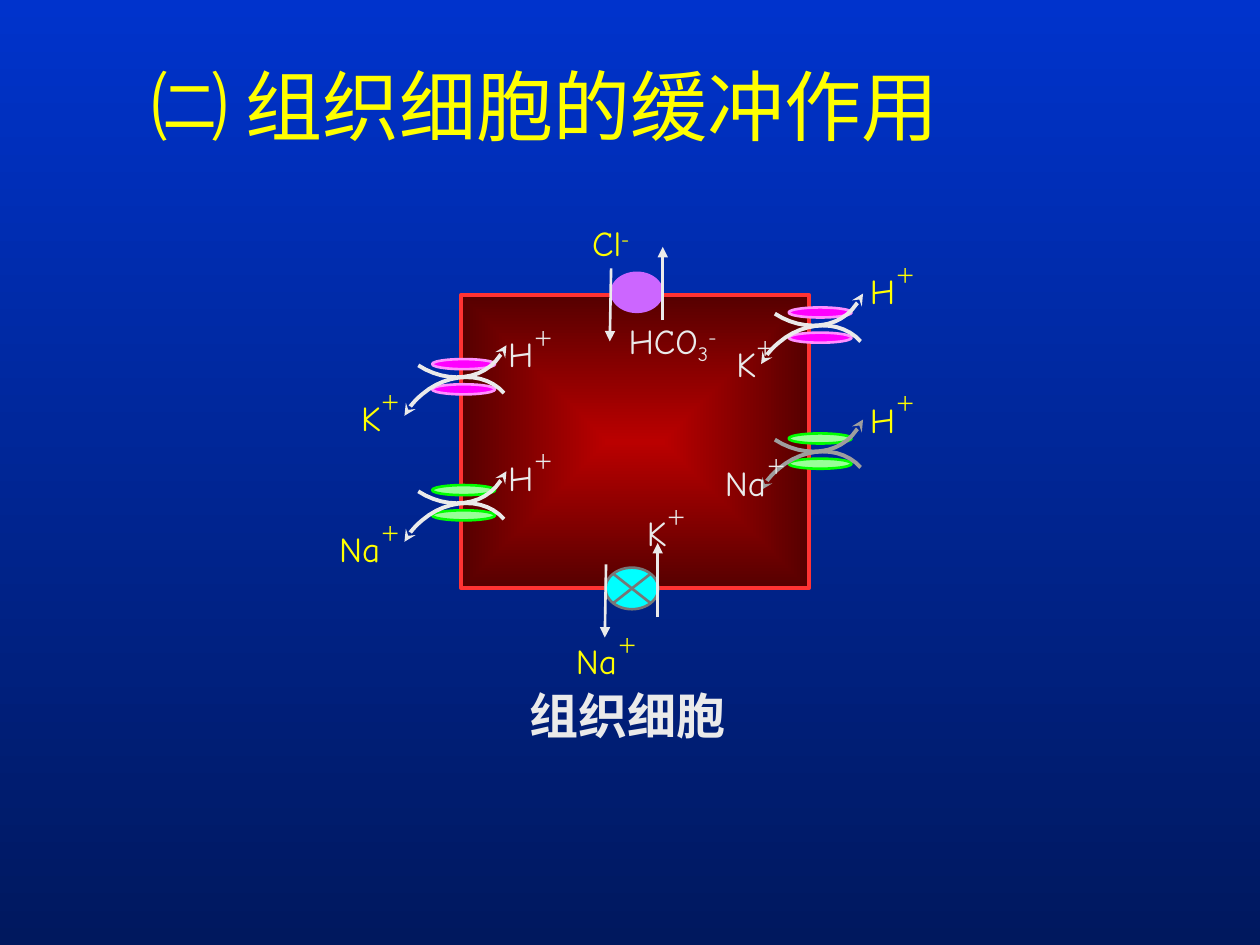
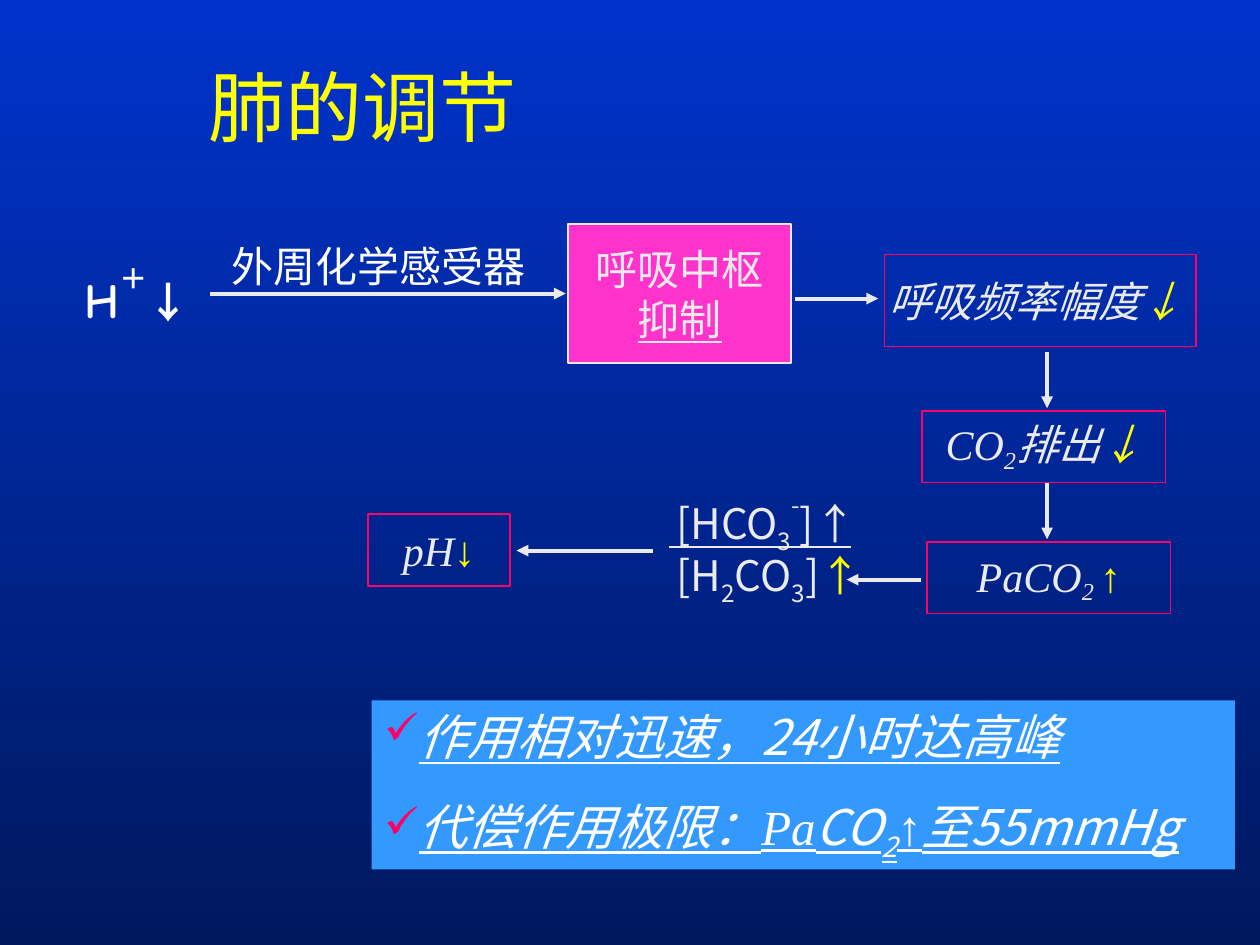
from dataclasses import dataclass
from typing import NamedTuple, Optional

from lxml.etree import SubElement
from pptx import Presentation
from pptx.dml.color import RGBColor as RGB
from pptx.enum.shapes import MSO_CONNECTOR as CONN, MSO_SHAPE as SHAPE
from pptx.enum.text import MSO_ANCHOR as ANCHOR, MSO_AUTO_SIZE as SIZE, PP_ALIGN as ALIGN
from pptx.oxml.ns import qn
from pptx.util import Inches, Pt


@dataclass(frozen=True)
class Theme:
    top: str = "0033CC"
    base: str = "00185E"
    pale: str = "EAEAEA"
    white: str = "FFFFFF"
    yellow: str = "FFFF00"
    gray: str = "9E9E9E"
    dim: str = "777777"
    core: str = "BA0000"
    rim: str = "560000"
    red: str = "FF3333"
    rose: str = "FF0066"
    pink: str = "FF33CC"
    blue: str = "3399FF"
    purple: str = "CC66FF"
    cyan: str = "00FFFF"
    magenta: tuple = ("FF00FF", "FF8FFF")
    green: tuple = ("99FF99", "00FF00")
    serif: str = "Times New Roman"
    comic: str = "Comic Neue"
    sans: str = "Noto Sans CJK SC"
    title: float = 44
    large: float = 28
    text: float = 24
    ion: float = 20
    thick: float = 2.25
    mid: float = 1.5
    thin: float = 1


T = Theme()


class Run(NamedTuple):
    text: str
    base: int = 0
    color: Optional[str] = None
    font: Optional[str] = None
    size: Optional[float] = None
    under: bool = False


class Ion(NamedTuple):
    name: str
    x: float
    y: float
    color: str
    align: ALIGN = ALIGN.CENTER


class Pump(NamedTuple):
    x: float
    y: float
    tint: tuple
    color: str = T.pale


class Gate(NamedTuple):
    x: float
    y: float
    fill: str
    edge: Optional[str]
    down: tuple
    up: tuple


class Box(NamedTuple):
    at: tuple
    lines: list
    fill: Optional[str] = None
    edge: str = T.rose
    italic: bool = True


class Arrow(NamedTuple):
    start: tuple
    end: tuple
    width: float = T.thick
    tip: bool = True


# Curves of a pump, from its upper oval's corner: start, then cubic control points
CURVES = (
    [(.59, -.11), (.58, -.08), (.56, -.05), (.54, -.03), (.41, .17), (.12, .2), (-.11, .05)],
    [(-.22, .45), (-.19, .39), (-.14, .33), (-.08, .28), (.13, .1), (.42, .1), (.57, .27)],
)

PUMPS = [Pump(3.43, 2.85, T.magenta), Pump(3.43, 3.85, T.green),
         Pump(6.26, 2.44, T.magenta), Pump(6.26, 3.44, T.green, T.gray)]

IONS = [
    Ion("Na", 2.48, 4.09, T.yellow), Ion("K", 2.67, 3.05, T.yellow),
    Ion("H", 3.86, 2.54, T.pale), Ion("H", 3.86, 3.52, T.pale),
    Ion("H", 6.73, 2.04, T.yellow), Ion("H", 6.73, 3.06, T.yellow),
    Ion("Na", 5.43, 3.56, T.pale, ALIGN.RIGHT), Ion("K", 5.55, 2.62, T.pale, ALIGN.RIGHT),
    Ion("K", 4.84, 3.96, T.pale, ALIGN.RIGHT), Ion("Na", 4.36, 4.98, T.yellow),
]

GATES = [
    Gate(4.89, 2.11, T.purple, None, ((4.85, 2.13), (4.84, 2.71)), ((5.26, 2.54), (5.26, 1.96))),
    Gate(4.85, 4.46, T.cyan, T.dim, ((4.81, 4.48), (4.8, 5.06)), ((5.22, 4.9), (5.22, 4.31))),
]

BOXES = [
    Box((4.51, 1.78, 1.77, 1.1), [[Run("呼吸中枢")], [Run("抑制", under=True)]],
        T.pink, T.pale, False),
    Box((7.02, 2.02, 2.47, .73), [[Run("呼吸频率幅度"), Run("↓ ", color=T.yellow)]]),
    Box((7.32, 3.26, 1.93, .57),
        [[Run("CO"), Run("2", -20), Run("排出"), Run("↓", color=T.yellow)]]),
    Box((7.36, 4.3, 1.93, .57), [[Run("PaCO"), Run("2 ", -20), Run("↑", color=T.yellow)]]),
    Box((2.92, 4.08, 1.13, .57), [[Run("pH"), Run("↓", color=T.yellow)]]),
]

ARROWS = [
    Arrow((1.67, 2.33), (4.49, 2.33)), Arrow((6.31, 2.37), (6.97, 2.37)),
    Arrow((8.31, 2.79), (8.31, 3.24)), Arrow((8.31, 3.83), (8.31, 4.28)),
    Arrow((7.31, 4.6), (6.72, 4.6)), Arrow((5.18, 4.37), (4.1, 4.37)),
    Arrow((5.31, 4.34), (6.75, 4.34), T.thin, False),
]


def place(at: tuple) -> list:
    return [Inches(v) for v in at]


def write(shape, lines: list, *, size: float = T.text, color: str = T.pale,
          font: str = T.serif, bold: bool = False, italic: bool = False,
          under: bool = False, align: ALIGN = ALIGN.LEFT, anchor: ANCHOR = ANCHOR.TOP,
          before: float = 0, space: float = 1, side: float = .1,
          wrap: bool = True, mark: str = "") -> None:
    """Fill a shape with paragraphs, each a list of runs."""
    frame = shape.text_frame
    frame.auto_size, frame.word_wrap, frame.vertical_anchor = SIZE.NONE, wrap, anchor
    frame.margin_left = frame.margin_right = Inches(side)
    frame.margin_top = frame.margin_bottom = Inches(.05)
    for n, line in enumerate(lines):
        para = frame.add_paragraph() if n else frame.paragraphs[0]
        para.alignment, para.line_spacing, para.space_before = align, space, Pt(before)
        if mark:
            prop = para._p.get_or_add_pPr()
            SubElement(SubElement(prop, qn("a:buClr")), qn("a:srgbClr")).set("val", T.rose)
            SubElement(prop, qn("a:buSzPct")).set("val", "90000")
            SubElement(prop, qn("a:buChar")).set("char", mark)
        for part in line:
            run = para.add_run()
            run.text = part.text
            face = run.font
            face.size, face.bold, face.italic = Pt(part.size or size), bold, italic
            face.underline = under or part.under
            face.color.rgb = RGB.from_string(part.color or color)
            face.name = part.font or font
            prop = run._r.get_or_add_rPr()
            SubElement(prop, qn("a:ea")).set("typeface", T.sans)
            if part.base:
                prop.set("baseline", str(part.base * 1000))


def label(slide, at: tuple, runs: list, **form) -> None:
    write(slide.shapes.add_textbox(*place(at)), [runs], **form)


def style(shape, fill: Optional[str], edge: Optional[str], width: float = T.thin) -> None:
    shape.shadow.inherit = False
    if fill:
        shape.fill.solid()
        shape.fill.fore_color.rgb = RGB.from_string(fill)
    else:
        shape.fill.background()
    if edge:
        shape.line.color.rgb = RGB.from_string(edge)
        shape.line.width = Pt(width)
    else:
        shape.line.fill.background()


def draw(slide, kind: SHAPE, at: tuple, fill: Optional[str], edge: Optional[str],
         width: float = T.thin):
    shape = slide.shapes.add_shape(kind, *place(at))
    style(shape, fill, edge, width)
    return shape


def blend(fill, first: str, last: str) -> None:
    fill.gradient()
    for stop, color in zip(fill.gradient_stops, (first, last)):
        stop.color.rgb = RGB.from_string(color)


def link(slide, arrow: Arrow) -> None:
    line = slide.shapes.add_connector(CONN.STRAIGHT, *place(arrow.start + arrow.end))
    line.line.color.rgb = RGB.from_string(T.pale)
    line.line.width = Pt(arrow.width)
    if arrow.tip:
        SubElement(line.line._get_or_add_ln(), qn("a:tailEnd")).set("type", "triangle")
    SubElement(line._element.spPr, qn("a:effectLst"))


def bend(slide, pump: Pump, curve: list, steps: int = 12) -> None:
    """Trace a chain of cubic curves with an arrowhead at its start."""
    spots = [curve[0]]
    for i in range(0, len(curve) - 1, 3):
        a, b, c, d = curve[i:i + 4]
        for t in (k / steps for k in range(1, steps + 1)):
            u = 1 - t
            spots.append(tuple(u**3 * p + 3 * u * u * t * q + 3 * u * t * t * r + t**3 * s
                               for p, q, r, s in zip(a, b, c, d)))
    spots = [(Inches(pump.x + x), Inches(pump.y + y)) for x, y in spots]
    pen = slide.shapes.build_freeform(*spots[0])
    pen.add_line_segments(spots[1:], close=False)
    shape = pen.convert_to_shape()
    style(shape, None, pump.color, T.thick)
    SubElement(shape.line._get_or_add_ln(), qn("a:headEnd")).set("type", "stealth")


def start(deck, text: str, at: tuple):
    slide = deck.slides.add_slide(deck.slide_layouts[5])
    title = slide.shapes.title
    title.left, title.top, title.width, title.height = place(at)
    write(title, [[Run(text)]], size=T.title, color=T.yellow,
          align=ALIGN.CENTER, anchor=ANCHOR.MIDDLE)
    return slide


def cell(deck) -> None:
    slide = start(deck, "㈡ 组织细胞的缓冲作用", (.74, .21, 7.17, 1.25))
    label(slide, (3.98, 5.48, 2, .5), [Run("组织细胞")], size=T.large, bold=True,
          align=ALIGN.CENTER, before=7, space=.8)

    # Cell body, shaded from its centre
    body = draw(slide, SHAPE.RECTANGLE, (3.66, 2.34, 2.76, 2.33), None, T.red, T.thick)
    blend(body.fill, T.core, T.rim)
    grad = body._element.spPr.find(qn("a:gradFill"))
    grad.remove(grad.find(qn("a:lin")))
    shade = SubElement(grad, qn("a:path"))
    shade.set("path", "rect")
    focus = SubElement(shade, qn("a:fillToRect"))
    for side in "ltrb":
        focus.set(side, "50000")

    # Exchangers in the side walls
    for pump in PUMPS:
        for drop in (0, .2):
            draw(slide, SHAPE.OVAL, (pump.x, pump.y + drop, .5, .08), *pump.tint, T.mid)
        for curve in CURVES:
            bend(slide, pump, curve)

    # Ion names
    form = dict(size=T.ion, font=T.comic, before=12.5)
    for ion in IONS:
        wide = .91 if ion.name == "Na" else .71
        label(slide, (ion.x, ion.y, wide, .49), [Run(ion.name), Run("＋", 60)],
              color=ion.color, align=ion.align, **form)
    label(slide, (4.89, 2.49, .9, .47), [Run("HCO"), Run("3", -20), Run("-", 30)],
          wrap=False, **form)
    label(slide, (4.6, 1.71, .49, .44), [Run("Cl"), Run("-", 30)],
          color=T.yellow, wrap=False, **form)

    # Gates in the upper and lower walls
    for gate in GATES:
        knob = draw(slide, SHAPE.FLOWCHART_SUMMING_JUNCTION, (gate.x, gate.y, .33, .42),
                    gate.fill, gate.edge, T.mid)
        knob.rotation = 270
        for ends in (gate.up, gate.down):
            link(slide, Arrow(*ends, T.mid))


def lung(deck) -> None:
    slide = start(deck, "肺的调节", (1, .42, 3.75, .83))

    # Stimulus and pathway
    label(slide, (1.74, 1.86, 2.82, .5), [Run("外周化学感受器")], color=T.white, before=15)
    label(slide, (.67, 2.02, 1, .64), [Run("H"), Run("＋", 60), Run("↓", size=T.text)],
          size=T.large, color=T.white, font=T.comic, bold=True,
          anchor=ANCHOR.MIDDLE, before=15, side=0)
    for box in BOXES:
        shape = draw(slide, SHAPE.RECTANGLE, box.at, box.fill, box.edge)
        write(shape, box.lines, italic=box.italic, align=ALIGN.CENTER,
              anchor=ANCHOR.MIDDLE, wrap=False)

    # Buffer ratio
    form = dict(font=T.sans, before=15, side=0)
    label(slide, (5.37, 4.31, 1.53, .56),
          [Run("[H"), Run("2", -25), Run("CO"), Run("3", -25), Run("]"),
           Run("↑", color=T.yellow)], anchor=ANCHOR.MIDDLE, **form)
    label(slide, (5.37, 3.84, 1.8, .62),
          [Run("[HCO"), Run("3", -25), Run("-", 60), Run("]↑")], **form)
    for arrow in ARROWS:
        link(slide, arrow)

    # Key facts
    panel = draw(slide, SHAPE.RECTANGLE, (2.95, 5.56, 6.85, 1.34), T.blue, None)
    facts = [[Run("作用相对迅速，24小时达高峰")],
             [Run("代偿作用极限："), Run("Pa", font=T.serif), Run("CO"), Run("2", -25),
              Run("↑至", font=T.serif), Run("55mmHg")]]
    write(panel, facts, size=T.large, color=T.white, font=T.sans, italic=True,
          under=True, before=17.5, mark="✓")


def main() -> None:
    deck = Presentation()
    deck.slide_width, deck.slide_height = Inches(10), Inches(7.5)
    back = deck.slide_master.background.fill
    blend(back, T.top, T.base)
    back.gradient_angle = 270
    cell(deck)
    lung(deck)
    deck.save("out.pptx")


if __name__ == "__main__":
    main()
